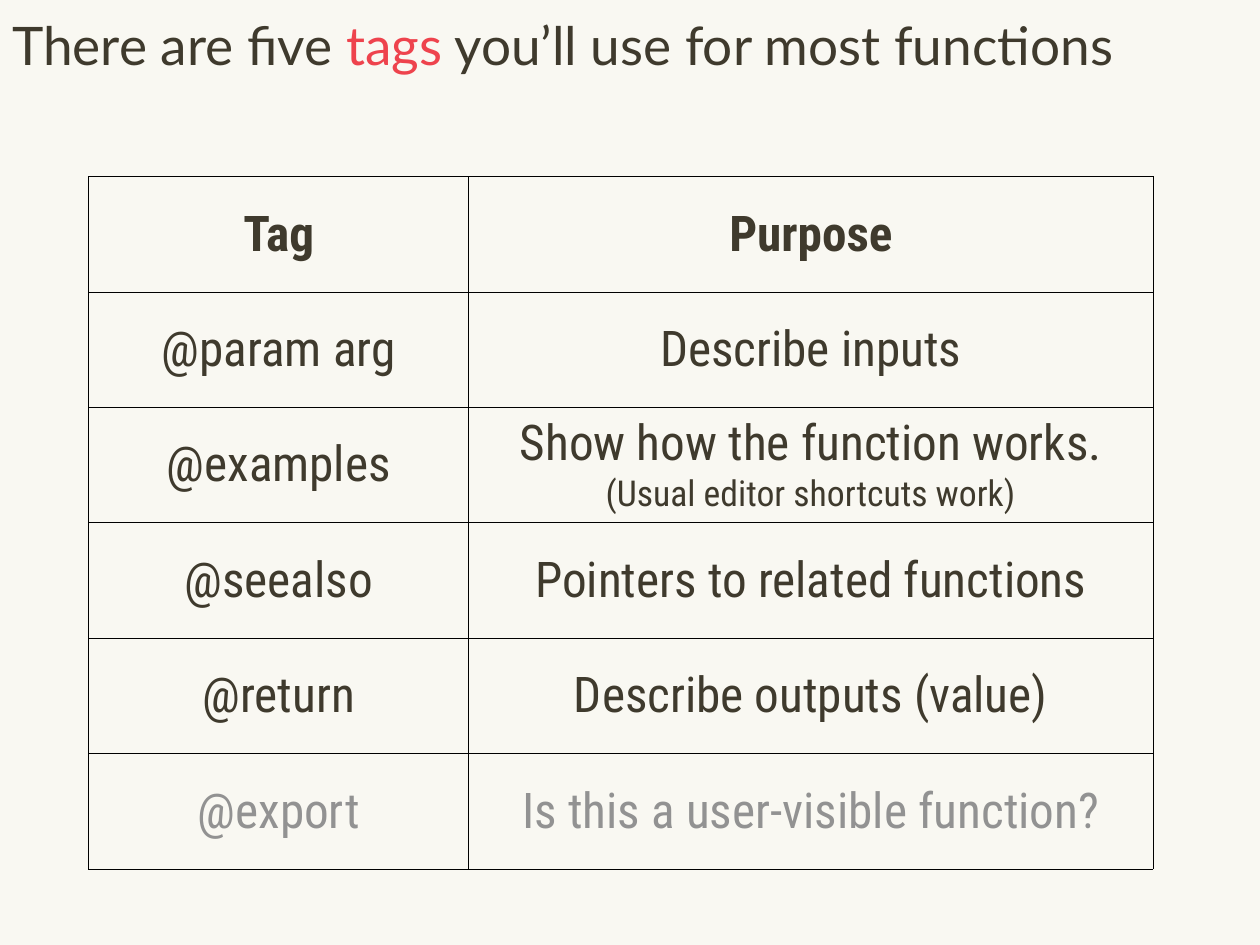
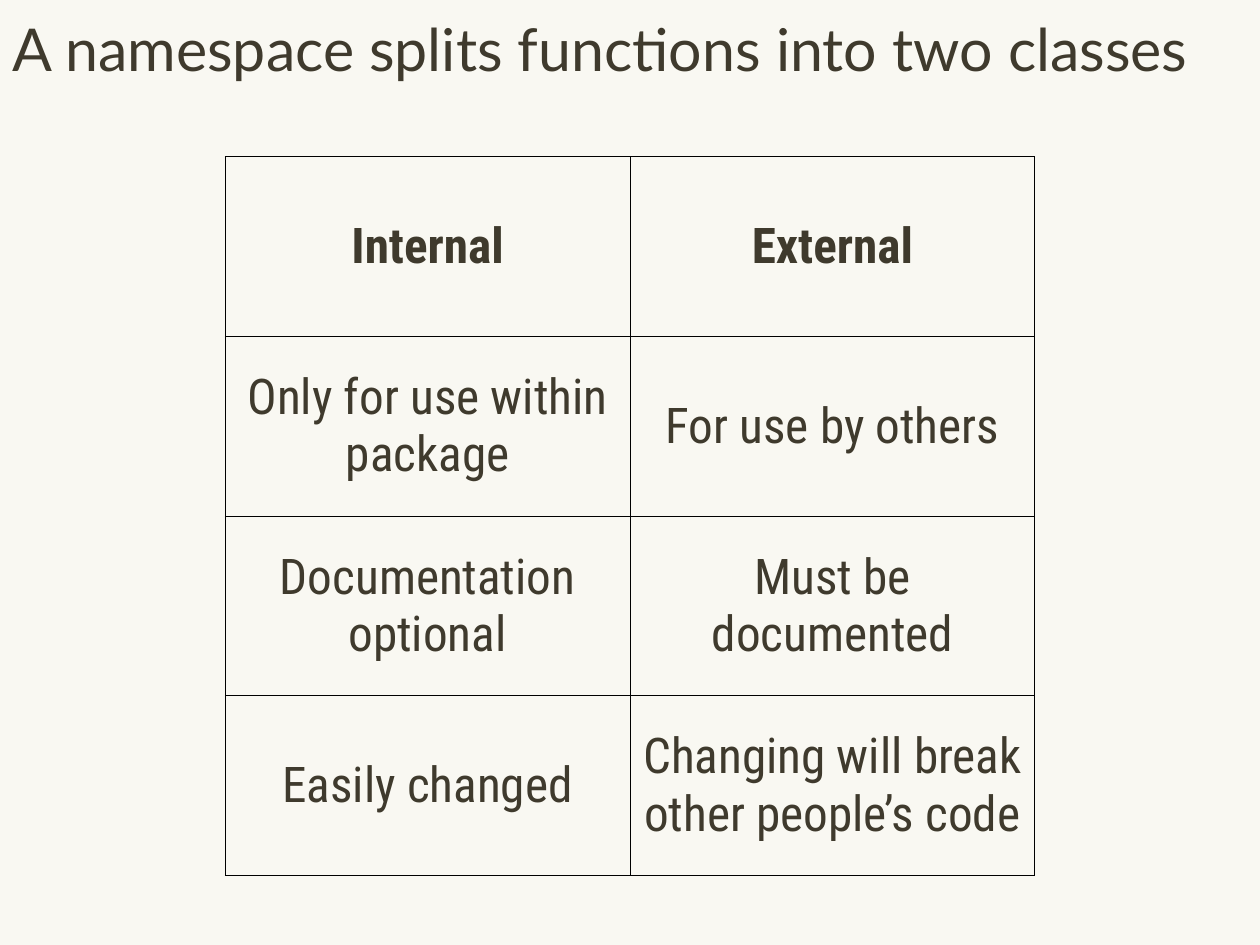
import pptx
import pptx.dml.color
import pptx.enum.text
import pptx.oxml
import pptx.oxml.ns
import pptx.util

Pt = pptx.util.Pt

COLORS = {
    "paper": "F9F8F2",
    "ink": "3F3A2D",
    "accent": "EE434D",
    "muted": "929292",
    "grid": "000000",
}
TITLE_FONT, TABLE_FONT = "Lato", "Roboto Condensed"
CELL_SIZE, NOTE_SIZE = 40, 29
SLIDE_WIDTH, SLIDE_HEIGHT = 1024, 768
TITLE_HEIGHT, TITLE_INSET = 78, 10
CELL_INSET, GRID_WIDTH = 3, 0.75

# A title is a list of (text, colour) spans; "\v" in a cell starts a smaller note line.
SLIDES = [
    {
        "title": [
            ("There are five ", "ink"),
            ("tags", "accent"),
            (" you’ll use for most functions", "ink"),
        ],
        "title_size": 43.2,
        "left": 72,
        "top": 143.5,
        "columns": [309, 556],
        "row_height": 93.8,
        "muted_rows": [5],
        "rows": [
            ("Tag", "Purpose"),
            ("@param arg", "Describe inputs"),
            ("@examples", "Show how the function works.\v(Usual editor shortcuts work)"),
            ("@seealso", "Pointers to related functions"),
            ("@return", "Describe outputs (value)"),
            ("@export", "Is this a user-visible function?"),
        ],
    },
    {
        "title": [("A namespace splits functions into two classes", "ink")],
        "title_size": 48,
        "left": 183,
        "top": 127.5,
        "columns": [329, 329],
        "row_height": 146,
        "muted_rows": [],
        "rows": [
            ("Internal", "External"),
            ("Only for use within package", "For use by others"),
            ("Documentation optional", "Must be documented"),
            ("Easily changed", "Changing will break other people’s code"),
        ],
    },
]


def rgb(name):
    return pptx.dml.color.RGBColor.from_string(COLORS[name])


def format_font(font, name, size, color, bold=False):
    font.name = name
    font.size = Pt(size)
    font.bold = bold
    font.color.rgb = rgb(color)


def set_insets(holder, inset):
    """Give a cell or text frame the same margin on all four sides."""
    holder.margin_left = holder.margin_right = Pt(inset)
    holder.margin_top = holder.margin_bottom = Pt(inset)


def style_master(deck, layout):
    """Set the shared background and the place of every title."""
    background = deck.slide_master.background.fill
    background.solid()
    background.fore_color.rgb = rgb("paper")
    title = layout.placeholders[0]
    title.left, title.top = Pt(0), Pt(0)
    title.width, title.height = Pt(SLIDE_WIDTH), Pt(TITLE_HEIGHT)


def add_title(page, spans, size):
    frame = page.shapes.title.text_frame
    set_insets(frame, TITLE_INSET)
    frame.word_wrap = True
    frame.auto_size = pptx.enum.text.MSO_AUTO_SIZE.NONE
    frame.vertical_anchor = pptx.enum.text.MSO_ANCHOR.TOP
    para = frame.paragraphs[0]
    para.alignment = pptx.enum.text.PP_ALIGN.LEFT
    for text, color in spans:
        span = para.add_run()
        span.text = text
        format_font(span.font, TITLE_FONT, size, color)


def add_borders(cell):
    properties = cell._tc.get_or_add_tcPr()
    for side in ("lnL", "lnR", "lnT", "lnB"):
        properties.append(pptx.oxml.parse_xml(
            f'<a:{side} {pptx.oxml.ns.nsdecls("a")} w="{Pt(GRID_WIDTH)}"><a:solidFill>'
            f'<a:srgbClr val="{COLORS["grid"]}"/></a:solidFill></a:{side}>'
        ))


def fill_cell(cell, text, color, bold):
    add_borders(cell)
    cell.fill.background()
    set_insets(cell, CELL_INSET)
    cell.vertical_anchor = pptx.enum.text.MSO_ANCHOR.MIDDLE
    para = cell.text_frame.paragraphs[0]
    para.text = text
    para.alignment = pptx.enum.text.PP_ALIGN.CENTER
    for index, span in enumerate(para.runs):
        size = NOTE_SIZE if index else CELL_SIZE
        format_font(span.font, TABLE_FONT, size, color, bold)


def add_grid(page, content):
    rows, columns = content["rows"], content["columns"]
    table = page.shapes.add_table(
        len(rows), len(columns),
        Pt(content["left"]), Pt(content["top"]),
        Pt(sum(columns)), Pt(content["row_height"] * len(rows)),
    ).table
    table.horz_banding = False
    for column, width in zip(table.columns, columns):
        column.width = Pt(width)
    for row_index, texts in enumerate(rows):
        table.rows[row_index].height = Pt(content["row_height"])
        color = "muted" if row_index in content["muted_rows"] else "ink"
        for column_index, text in enumerate(texts):
            fill_cell(table.cell(row_index, column_index), text, color, row_index == 0)


def main():
    deck = pptx.Presentation()
    deck.slide_width, deck.slide_height = Pt(SLIDE_WIDTH), Pt(SLIDE_HEIGHT)
    layout = deck.slide_layouts.get_by_name("Title Only")
    style_master(deck, layout)
    for content in SLIDES:
        page = deck.slides.add_slide(layout)
        add_title(page, content["title"], content["title_size"])
        add_grid(page, content)
    deck.save("out.pptx")


if __name__ == "__main__":
    main()
